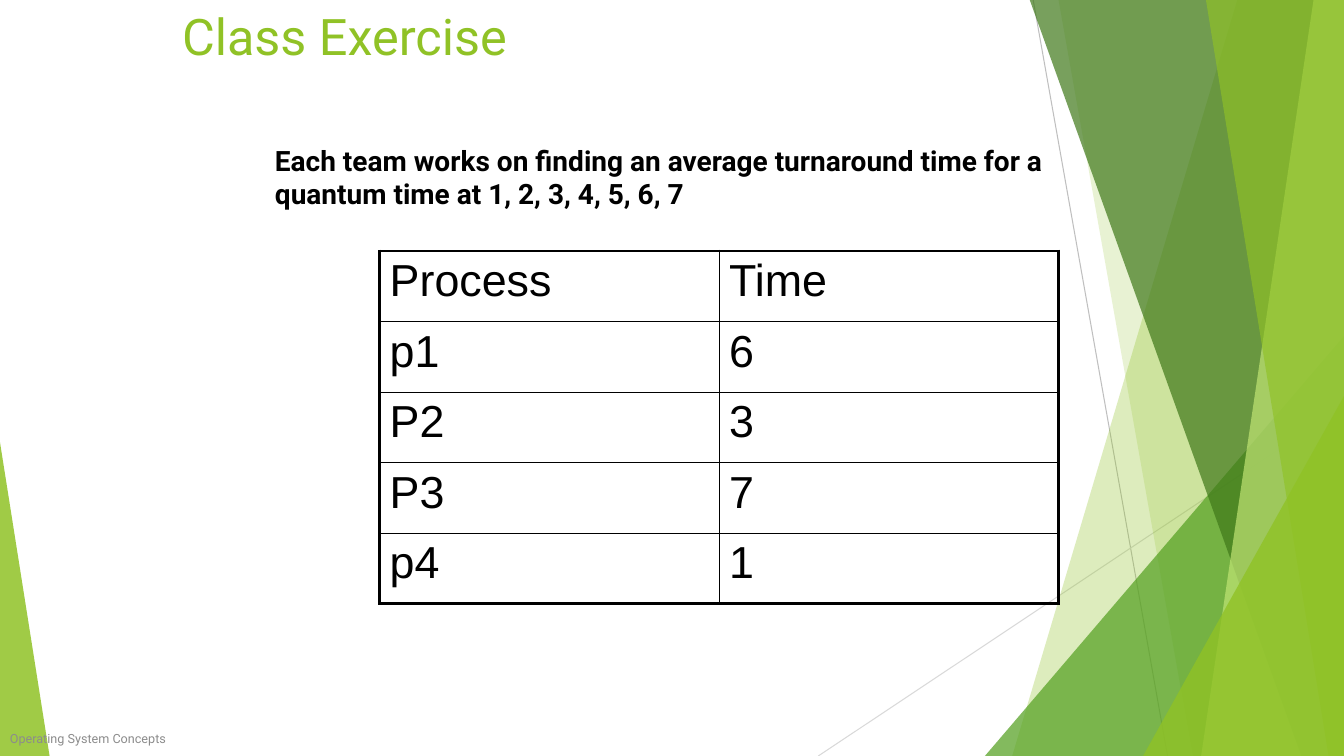
from collections import namedtuple

from lxml.etree import SubElement
from pptx import Presentation
from pptx.dml.color import RGBColor
from pptx.enum.shapes import MSO_CONNECTOR, MSO_SHAPE
from pptx.enum.text import MSO_ANCHOR
from pptx.oxml.ns import qn
from pptx.util import Pt

Box = namedtuple("Box", "left top width height")

GREEN = RGBColor(0x90, 0xC2, 0x26)
MID_GREEN = RGBColor(0x54, 0xA0, 0x21)
DARK_GREEN = RGBColor(0x3F, 0x78, 0x19)
PALE_GREEN = RGBColor(0xC0, 0xE4, 0x74)
BLACK = RGBColor(0, 0, 0)
FOOTER_GRAY = RGBColor(0x8C, 0x8C, 0x8C)
LINE_GRAY = RGBColor(0xBF, 0xBF, 0xBF)
LIGHT_GRAY = RGBColor(0xD9, 0xD9, 0xD9)

PROCESSES = [("Process", "Time"), ("p1", "6"), ("P2", "3"), ("P3", "7"), ("p4", "1")]


def paint(shape, color, opacity):
    """Give a shape a translucent fill with no outline or shadow."""
    shape.shadow.inherit = False
    shape.line.fill.background()
    shape.fill.solid()
    shape.fill.fore_color.rgb = color
    color_element = shape._element.spPr.find(qn("a:solidFill"))[0]
    SubElement(color_element, qn("a:alpha"), val=str(opacity * 1000))


def add_thin_line(page, box, start, end, color):
    """Draw a thin line between two points of the box."""
    line = page.shapes.add_connector(
        MSO_CONNECTOR.STRAIGHT,
        Pt(box.left + start[0]), Pt(box.top + start[1]),
        Pt(box.left + end[0]), Pt(box.top + end[1]))
    line.line.color.rgb = color
    line.line.width = Pt(0.75)
    SubElement(line._element.spPr, qn("a:effectLst"))


def add_band(page, box, top_x, bottom_x, color, opacity):
    """Fill from a slanted left edge to the right side of the box."""
    right, bottom = box.left + box.width, box.top + box.height
    top = box.top - 0.72
    corners = [(right, top), (right, bottom), (box.left + bottom_x, bottom)]
    builder = page.shapes.build_freeform(Pt(box.left + top_x), Pt(top))
    builder.add_line_segments([(Pt(x), Pt(y)) for x, y in corners], close=True)
    paint(builder.convert_to_shape(), color, opacity)


def add_corner(page, box, apex, color, opacity):
    """Add a triangle with its apex at the given share of its width."""
    triangle = page.shapes.add_shape(
        MSO_SHAPE.ISOSCELES_TRIANGLE, *(Pt(length) for length in box))
    triangle.adjustments[0] = apex
    paint(triangle, color, opacity)


def add_backdrop(page, box):
    """Draw the green facets along the sides of the box."""
    def right_corner(width, height, color, opacity):
        """Add a triangle in the bottom right corner."""
        corner = Box(box.left + box.width - width,
                     box.top + box.height - height, width, height)
        add_corner(page, corner, 1, color, opacity)

    add_thin_line(page, box, (738, 0), (834, 540), LINE_GRAY)
    add_thin_line(page, box, (960, 290), (584.5, 540), LIGHT_GRAY)
    add_band(page, box, 884, 723, GREEN, 30)
    add_band(page, box, 756, 852, GREEN, 20)
    right_corner(256.5, 300, MID_GREEN, 72)
    add_band(page, box, 735.3, 929.5, DARK_GREEN, 70)
    add_band(page, box, 938.4, 858, PALE_GREEN, 70)
    add_band(page, box, 861.3, 949, GREEN, 65)
    right_corner(143.5, 257, GREEN, 80)
    left_corner = Box(box.left, box.top + box.height - 224, 35.4, 224)
    add_corner(page, left_corner, 0, GREEN, 85)


def add_text(page, box, lines, size, color, bold=False, anchor=MSO_ANCHOR.TOP):
    """Write one paragraph per line in the box."""
    frame = page.shapes.add_textbox(*(Pt(length) for length in box)).text_frame
    frame.word_wrap = True
    frame.vertical_anchor = anchor
    frame.text = "\n".join(lines)
    for para in frame.paragraphs:
        para.font.name = "Roboto"
        para.font.size = Pt(size)
        para.font.bold = bold
        para.font.color.rgb = color


def add_border(cell, side, width):
    """Draw a black border on one side of a cell."""
    border = SubElement(cell._tc.get_or_add_tcPr(), qn("a:" + side), w=str(Pt(width)))
    fill = SubElement(border, qn("a:solidFill"))
    SubElement(fill, qn("a:srgbClr"), val=str(BLACK))


def add_process_table(page, box, rows):
    """Fill the box with a table that has a heavy outer frame."""
    last_row, last_column = len(rows) - 1, len(rows[0]) - 1
    table = page.shapes.add_table(
        len(rows), len(rows[0]), *(Pt(length) for length in box)).table
    table.first_row = table.horz_banding = False
    for row, values in enumerate(rows):
        for column, value in enumerate(values):
            cell = table.cell(row, column)
            cell.text = value
            font = cell.text_frame.paragraphs[0].font
            font.name = "Arial"
            font.size = Pt(32)
            font.color.rgb = BLACK
            outer_sides = {"lnL": column == 0, "lnR": column == last_column,
                           "lnT": row == 0, "lnB": row == last_row}
            for side, outer in outer_sides.items():
                add_border(cell, side, 2.25 if outer else 1)
            cell.fill.background()


def build_exercise(page, box):
    """Place the backdrop, texts and table of the exercise slide."""
    def within(left, top, width, height):
        """Return a box offset from the slide's box."""
        return Box(box.left + left, box.top + top, width, height)

    add_backdrop(page, box)
    add_text(page, within(0, 515, 304, 25), ["Operating System Concepts"],
             9, FOOTER_GRAY, anchor=MSO_ANCHOR.MIDDLE)
    add_text(page, within(123, 0, 766, 66), ["Class Exercise"], 36, GREEN)
    add_process_table(page, within(271.2, 179.3, 485, 252), PROCESSES)
    add_text(page, within(189.3, 98.8, 650, 55.5),
             ["Each team works on finding an average turnaround time for a",
              "quantum time at 1, 2, 3, 4, 5, 6, 7"], 20, BLACK, bold=True)


def main():
    """Build and save the deck."""
    deck = Presentation()
    deck.slide_width, deck.slide_height = Pt(960), Pt(540)
    page = deck.slides.add_slide(deck.slide_layouts[6])
    build_exercise(page, Box(0, 0, 960, 540))
    deck.save("out.pptx")


if __name__ == "__main__":
    main()
